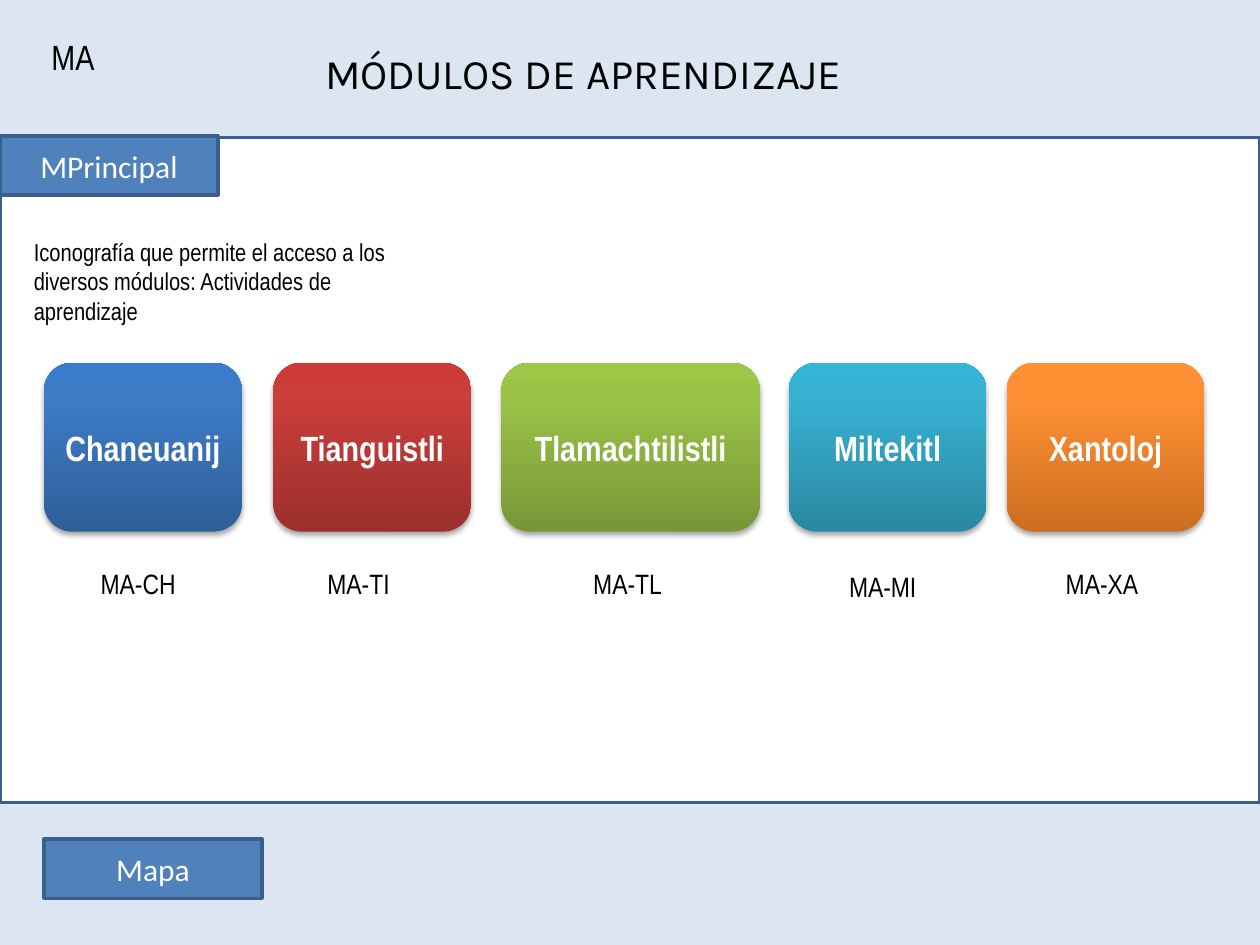
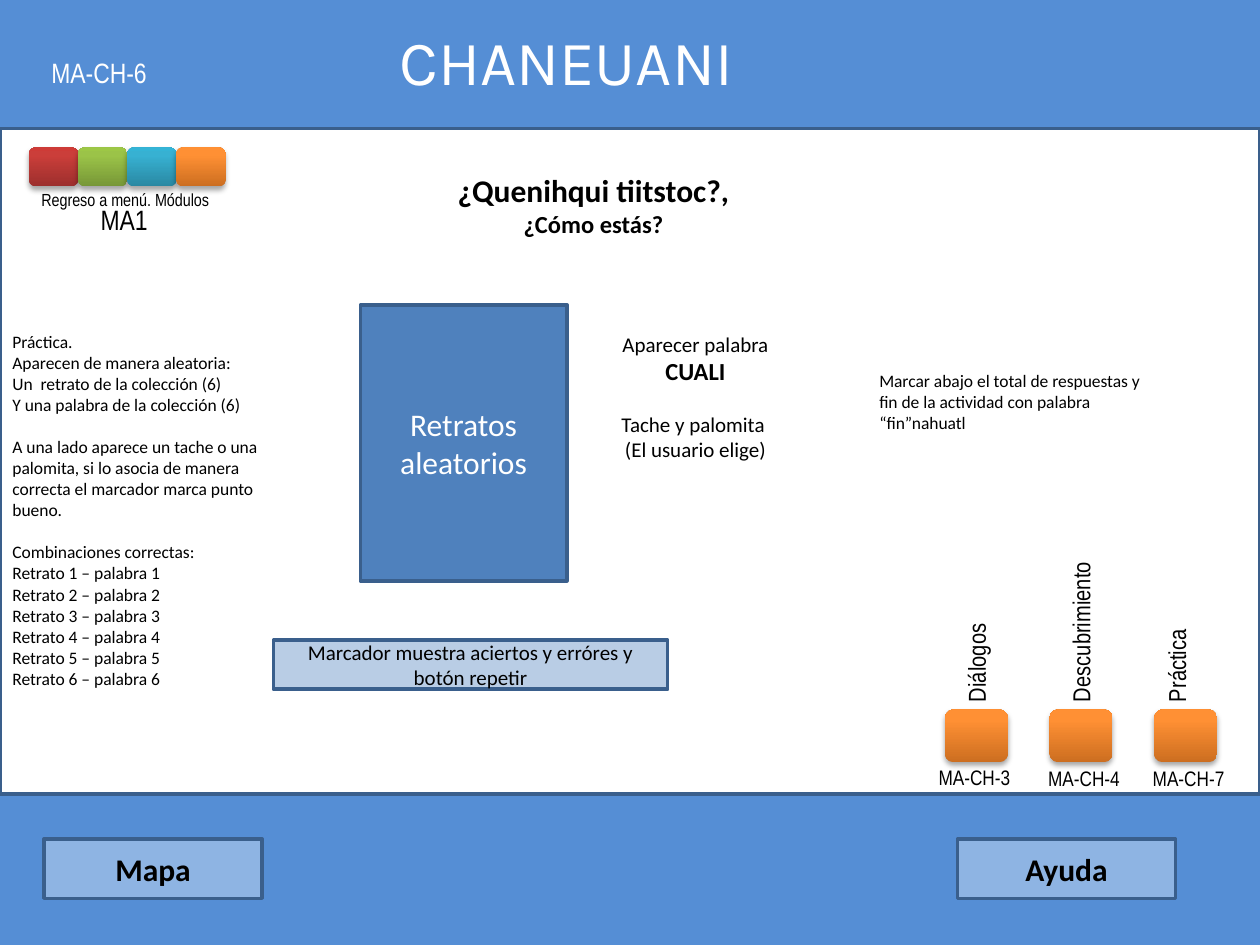
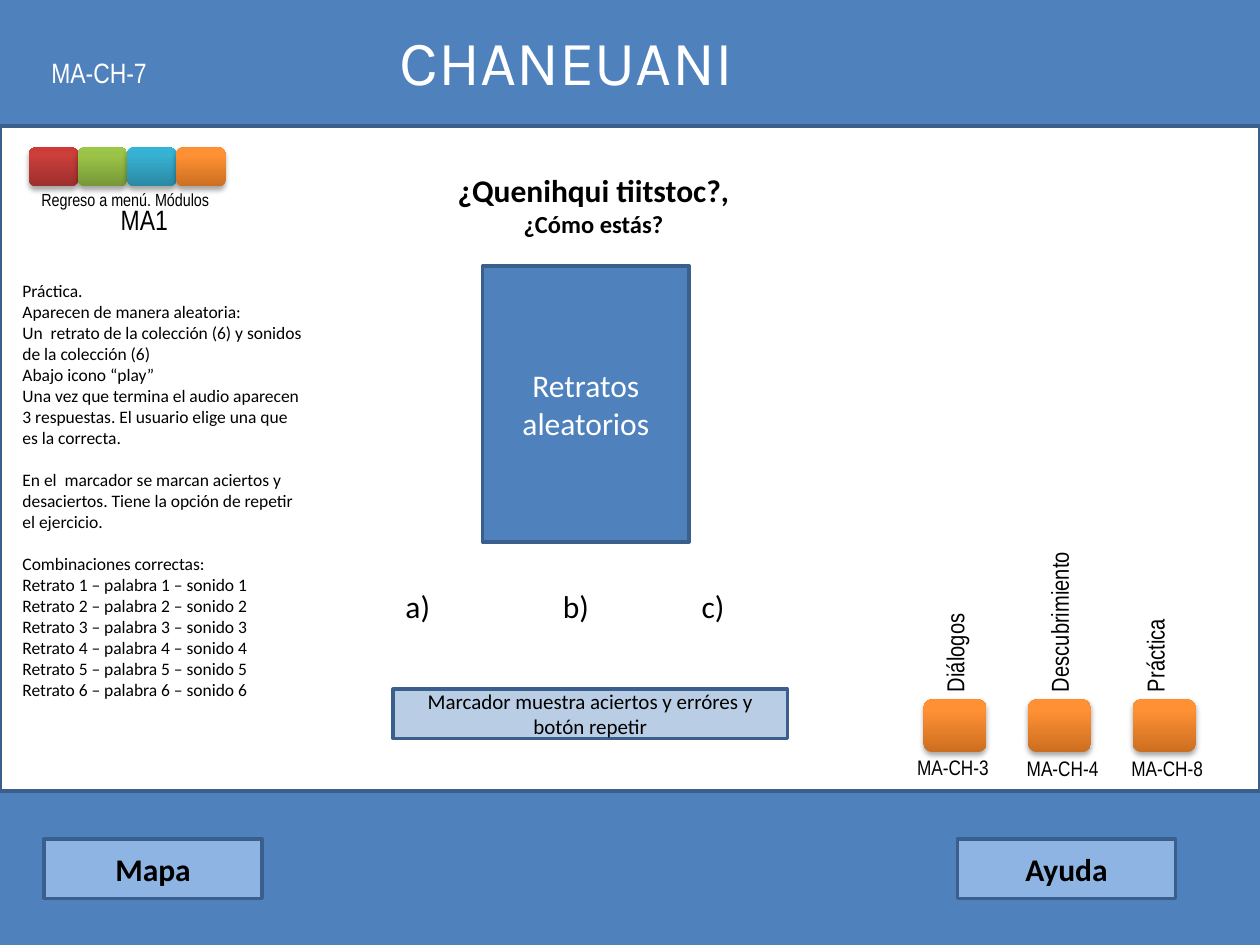
from copy import deepcopy
from dataclasses import dataclass

from lxml.etree import SubElement
from pptx import Presentation
from pptx.dml.color import RGBColor
from pptx.enum.shapes import MSO_SHAPE
from pptx.enum.text import MSO_ANCHOR, MSO_AUTO_SIZE, PP_ALIGN
from pptx.oxml.ns import qn
from pptx.util import Emu, Pt

EMU_PER_PX = 9144
TITLE_ONLY = 5


def px(*lengths):
    return [Emu(length * EMU_PER_PX) for length in lengths]


@dataclass(frozen=True)
class Theme:
    narrow: str = "Arial Narrow"
    body: str = "Calibri"
    display: str = "Karla"

    black: str = "000000"
    white: str = "FFFFFF"
    border: str = "3A5F8C"
    blue: str = "4F81BD"
    bright: str = "558ED5"
    pale: str = "DCE6F2"
    button: str = "8EB4E3"
    score: str = "B9CDE5"

    chaneuanij: tuple = ("2F5F99", "3D7CC7", "3A7CCB")
    tianguistli: tuple = ("9C2F2D", "CB3E3A", "CE3B37")
    tlamachtilistli: tuple = ("779737", "9BC348", "9DC746")
    miltekitl: tuple = ("2A88A2", "37B1D2", "34B4D6")
    xantoloj: tuple = ("CC6E20", "FF9034", "FF9136")

    note: int = 10
    label: int = 12
    tag: int = 14
    code: int = 16
    control: int = 18
    module: int = 20
    title: int = 24
    banner: int = 36
    border_width: int = 2


@dataclass(frozen=True)
class Line:
    text: str
    size: int
    bold: bool = False
    gap: float = 0


class Storyboard:
    def __init__(self, theme):
        self.theme = theme
        self.deck = Presentation()
        self.deck.slide_width, self.deck.slide_height = px(1000, 750)
        self.slide = None
        self.shapes = None

    def start(self, background, panel_top):
        self.slide = self.deck.slides.add_slide(self.deck.slide_layouts[TITLE_ONLY])
        self.shapes = self.slide.shapes
        fill = self.slide.background.fill
        fill.solid()
        fill.fore_color.rgb = RGBColor.from_string(background)
        self.box((0, panel_top, 1000, 528), self.theme.white)

    def set_lines(self, frame, lines, font, color, align):
        frame.text = "\n".join(line.text for line in lines)
        for paragraph, line in zip(frame.paragraphs, lines):
            paragraph.alignment = align
            if line.gap:
                paragraph.space_before = Pt(line.gap)
            for run in paragraph.runs:
                run.font.name = font
                run.font.size = Pt(line.size)
                run.font.bold = line.bold
                run.font.color.rgb = RGBColor.from_string(color)

    def title(self, place, text, size, color):
        heading = self.shapes.title
        heading.left, heading.top, heading.width, heading.height = px(*place)
        frame = heading.text_frame
        self.set_lines(frame, [Line(text, size)], self.theme.display, color, PP_ALIGN.LEFT)
        frame.vertical_anchor = MSO_ANCHOR.TOP
        frame.word_wrap = False
        frame.auto_size = MSO_AUTO_SIZE.SHAPE_TO_FIT_TEXT

    def text(self, place, lines, font, color=None, align=PP_ALIGN.LEFT, wrap=True, rotation=0):
        label = self.shapes.add_textbox(*px(*place))
        label.rotation = rotation
        frame = label.text_frame
        self.set_lines(frame, lines, font, color or self.theme.black, align)
        frame.word_wrap = wrap
        frame.auto_size = MSO_AUTO_SIZE.SHAPE_TO_FIT_TEXT

    def narrow(self, place, text, size, color=None, rotation=0):
        self.text(place, [Line(text, size)], self.theme.narrow, color, rotation=rotation)

    def preset(self, kind, place, line, font, color):
        shape = self.shapes.add_shape(kind, *px(*place))
        shape.shadow.inherit = False
        if line:
            shape.text_frame.vertical_anchor = MSO_ANCHOR.MIDDLE
            self.set_lines(shape.text_frame, [line], font, color, PP_ALIGN.CENTER)
        return shape

    def box(self, place, fill, line=None, color=None):
        theme = self.theme
        shape = self.preset(MSO_SHAPE.RECTANGLE, place, line, theme.body, color or theme.black)
        shape.fill.solid()
        shape.fill.fore_color.rgb = RGBColor.from_string(fill)
        shape.line.color.rgb = RGBColor.from_string(theme.border)
        shape.line.width = Pt(theme.border_width)

    def tile(self, place, shades, line=None):
        theme = self.theme
        shape = self.preset(MSO_SHAPE.ROUNDED_RECTANGLE, place, line, theme.narrow, theme.white)
        shape.line.fill.background()
        shape.fill.gradient()
        shape.fill.gradient_angle = 90
        properties = shape.element.spPr
        stops = properties.find(qn("a:gradFill")).find(qn("a:gsLst"))
        stops.append(deepcopy(stops[-1]))
        for stop, position, shade in zip(shape.fill.gradient_stops, (0, 0.8, 1), shades):
            stop.position = position
            stop.color.rgb = RGBColor.from_string(shade)
        effects = properties.find(qn("a:effectLst"))
        shadow = SubElement(effects, qn("a:outerShdw"), blurRad="39370", dist="22860",
                            dir="5400000", rotWithShape="0")
        tint = SubElement(shadow, qn("a:srgbClr"), val=theme.black)
        SubElement(tint, qn("a:alpha"), val="35000")

    def menu(self, code_left):
        theme = self.theme
        self.shapes = self.slide.shapes.add_group_shape().shapes
        shades = (theme.tianguistli, theme.tlamachtilistli, theme.miltekitl, theme.xantoloj)
        for column, shade in enumerate(shades):
            self.tile((23 + 39 * column, 117, 39, 31), shade)
        self.narrow((23, 145, 156, 27), "Regreso a menú. Módulos", theme.note)
        self.shapes = self.slide.shapes
        self.narrow((code_left, 156, 102, 37), "MA1", theme.code)

    def sections(self, left, top, last_code):
        theme = self.theme
        entries = (
            ("Diálogos", "MA-CH-3", (-38, -75, 125, 33), (-15, 39)),
            ("Descubrimiento", "MA-CH-4", (-43, -81, 136, 34), (-11, 40)),
            ("Práctica", last_code, (-45, -75, 125, 33), (-11, 40)),
        )
        for column, (name, code, (name_x, name_y, width, height), (code_x, code_y)) in enumerate(entries):
            x = left + 83 * column
            self.tile((x, top, 50, 42), theme.xantoloj)
            self.narrow((x + name_x, top + name_y, width, height), name, theme.tag, rotation=270)
            self.narrow((x + code_x, top + code_y, 78, 30), code, theme.label)

    def practice(self, background, panel_top, code, menu_code_left, portrait, score):
        theme = self.theme
        self.start(background, panel_top)
        self.title((307, 13, 328, 71), "CHANEUANI", theme.banner, theme.white)
        self.narrow((31, 39, 102, 37), code, theme.code, theme.white)
        for left, name in ((35, "Mapa"), (760, "Ayuda")):
            self.box((left, 666, 173, 47), theme.button, Line(name, theme.control, True))
        self.menu(menu_code_left)
        self.text((352, 131, 238, 64),
                  [Line("¿Quenihqui tiitstoc?,", theme.control, True),
                   Line("¿Cómo estás?", theme.tag, True)],
                  theme.body, align=PP_ALIGN.CENTER, wrap=False)
        self.box((*portrait, 164, 219), theme.blue,
                 Line("Retratos aleatorios", theme.control), theme.white)
        self.box((*score, 313, 39), theme.score,
                 Line("Marcador muestra aciertos y erróres y botón repetir", theme.label))

    def instructions(self, place, blocks):
        note = self.theme.note
        lines = [Line(text, note, gap=12 if block and not row else 0)
                 for block, texts in enumerate(blocks) for row, text in enumerate(texts)]
        self.text(place, lines, self.theme.body)


def modules_slide(board):
    theme = board.theme
    board.start(theme.pale, 109)
    board.title((248, 33, 501, 50), "MÓDULOS DE APRENDIZAJE", theme.title, theme.black)
    board.narrow((31, 23, 70, 44), "MA", theme.module)
    for place, name in (((35, 666), "Mapa"), ((0, 108), "MPrincipal")):
        board.box((*place, 173, 47), theme.blue, Line(name, theme.control), theme.white)
    modules = (
        ("Chaneuanij", theme.chaneuanij, 35, 157, "MA-CH", 70, 445),
        ("Tianguistli", theme.tianguistli, 217, 157, "MA-TI", 250, 445),
        ("Tlamachtilistli", theme.tlamachtilistli, 398, 205, "MA-TL", 461, 445),
        ("Miltekitl", theme.miltekitl, 626, 157, "MA-MI", 664, 447),
        ("Xantoloj", theme.xantoloj, 799, 157, "MA-XA", 836, 445),
    )
    for name, shades, left, width, code, code_left, code_top in modules:
        board.tile((left, 288, width, 134), shades, Line(name, theme.module, True))
        board.narrow((code_left, code_top, 102, 37), code, theme.code)
    board.text((17, 183, 300, 81),
               [Line("Iconografía que permite el acceso a los", theme.tag),
                Line("diversos módulos: Actividades de aprendizaje", theme.tag)],
               theme.narrow)


def words_slide(board):
    theme = board.theme
    board.practice(theme.bright, 102, "MA-CH-6", 70, (286, 242), (217, 508))
    board.instructions((0, 258, 242, 397), (
        ("Práctica.", "Aparecen de manera aleatoria:", "Un  retrato de la colección (6)",
         "Y una palabra de la colección (6)"),
        ("A una lado aparece un tache o una palomita, si lo asocia de manera correcta "
         "el marcador marca punto bueno.",),
        ("Combinaciones correctas:", *(f"Retrato {n} – palabra {n}" for n in range(1, 7))),
    ))
    board.text((688, 289, 242, 61),
               [Line("Marcar abajo el total de respuestas y fin de la actividad con palabra "
                     "“fin”nahuatl", theme.note)], theme.body)
    board.text((477, 258, 150, 145),
               [Line("Aparecer palabra", theme.label),
                Line("CUALI", theme.tag, True),
                Line("Tache y palomita ", theme.label, gap=14.6),
                Line("(El usuario elige)", theme.label)],
               theme.body, align=PP_ALIGN.CENTER)
    board.sections(750, 563, "MA-CH-7")


def sounds_slide(board):
    theme = board.theme
    board.practice(theme.blue, 100, "MA-CH-7", 86, (383, 211), (312, 547))
    board.instructions((8, 217, 242, 380), (
        ("Práctica.", "Aparecen de manera aleatoria:",
         "Un  retrato de la colección (6) y sonidos de la colección (6)",
         "Abajo icono “play”",
         "Una vez que termina el audio aparecen 3 respuestas. El usuario elige una que "
         "es la correcta."),
        ("En el  marcador se marcan aciertos y desaciertos. Tiene la opción de repetir "
         "el ejercicio.",),
        ("Combinaciones correctas:",
         *(f"Retrato {n} – palabra {n} – sonido {n}" for n in range(1, 7))),
    ))
    for left, answer in ((312, "a)"), (437, "b)"), (547, "c)")):
        board.text((left, 461, 70, 40), [Line(answer, theme.control)], theme.body)
    board.sections(733, 555, "MA-CH-8")


def main():
    board = Storyboard(Theme())
    modules_slide(board)
    words_slide(board)
    sounds_slide(board)
    board.deck.save("out.pptx")


if __name__ == "__main__":
    main()
